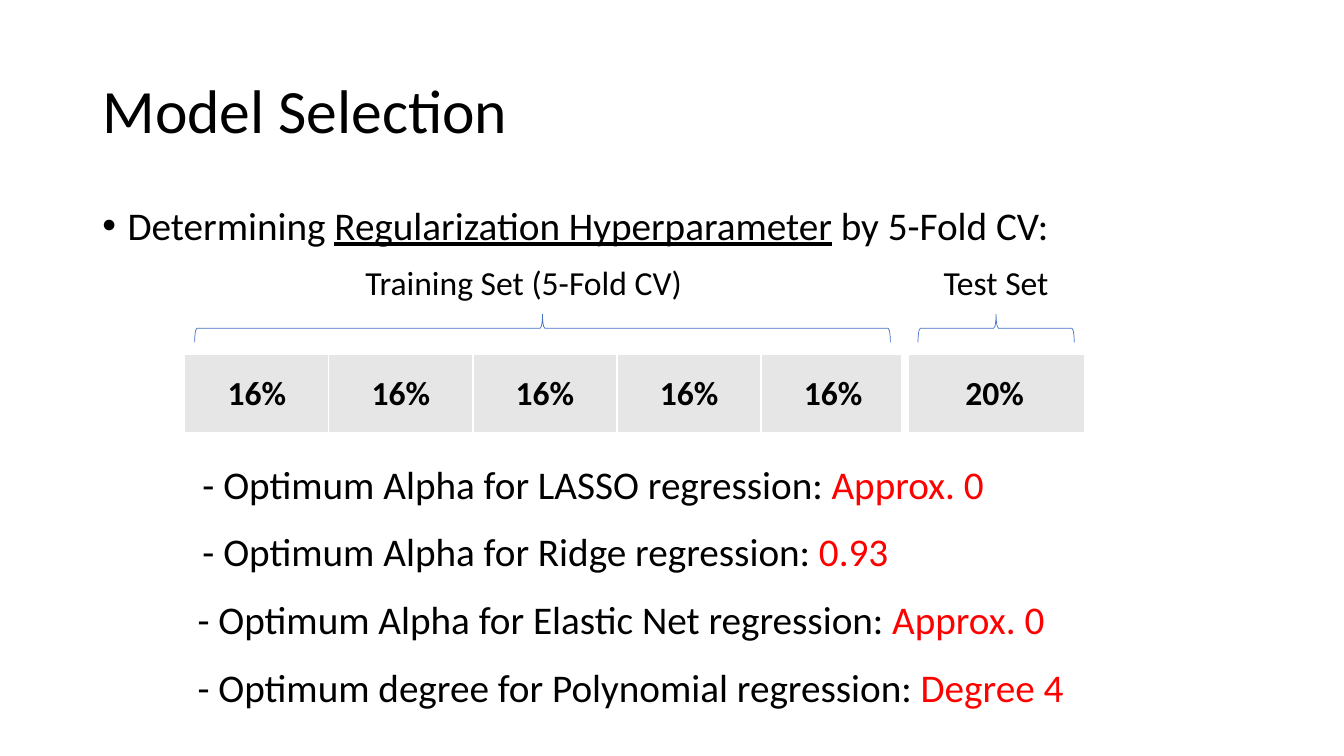
from lxml.etree import SubElement
from pptx import Presentation
from pptx.dml.color import RGBColor
from pptx.enum.shapes import MSO_SHAPE
from pptx.enum.text import MSO_ANCHOR, MSO_AUTO_SIZE, PP_ALIGN
from pptx.oxml.ns import qn
from pptx.util import Pt

COLORS = {"text": "000000", "answer": "FF0000", "cell": "E7E6E6",
          "border": "FFFFFF", "brace": "4472C4"}


def add_span(para, text, size, color="text", **format_values):
    span = para.add_run()
    span.text = text
    span.font.color.rgb = RGBColor.from_string(COLORS[color])
    for name, value in {"name": "Calibri", "size": Pt(size), **format_values}.items():
        setattr(span.font, name, value)


def place(box, left, top, width, height):
    """Set the bounds in points; return the first paragraph of the wrapped text."""
    box.left, box.top, box.width, box.height = map(Pt, (left, top, width, height))
    box.text_frame.word_wrap = True
    box.text_frame.auto_size = MSO_AUTO_SIZE.NONE
    return box.text_frame.paragraphs[0]


deck = Presentation()
deck.slide_width, deck.slide_height = Pt(960), Pt(540)
page = deck.slides.add_slide(deck.slide_layouts[1])
title, body = page.placeholders

# Title and introduction
para = place(title, 66, 28.75, 828, 104.4)
title.text_frame.vertical_anchor = MSO_ANCHOR.MIDDLE
para.alignment = PP_ALIGN.LEFT
para.line_spacing = 0.9
add_span(para, "Model Selection", 44)

para = place(body, 66, 143.75, 828, 86.4)
para.line_spacing = 0.9
para.space_before = Pt(10)
properties = para._p.get_or_add_pPr()
properties.set("marL", str(Pt(18)))
properties.set("indent", str(Pt(-18)))
SubElement(properties, qn("a:buFont"), typeface="Arial")
SubElement(properties, qn("a:buChar"), char="•")
add_span(para, "Determining ", 28)
add_span(para, "Regularization Hyperparameter", 28, underline=True)
add_span(para, " by 5-Fold CV:", 28)

# Optimum values
findings = [
    (137.5, 325.5, "- Optimum Alpha for LASSO regression: ", "Approx. 0"),
    (137.5, 373, "- Optimum Alpha for Ridge regression: ", "0.93"),
    (134, 421.5, "- Optimum Alpha for Elastic Net regression: ", "Approx. 0"),
    (134, 470, "- Optimum degree for Polynomial regression: ", "Degree 4"),
]
for left, top, finding, answer in findings:
    para = place(page.shapes.add_textbox(0, 0, 0, 0), left, top, 727, 41)
    add_span(para, finding, 28)
    add_span(para, answer, 28, "answer")

# Data split
shares = ["16%"] * 5 + ["20%"]
table = page.shapes.add_table(1, len(shares), Pt(132), Pt(253.5), Pt(642.5), Pt(56.5)).table
table.first_row = table.horz_banding = False
test_column = len(shares) - 1
for column, share in enumerate(shares):
    table.columns[column].width = Pt(128 if column == test_column else 102.9)
    cell = table.cell(0, column)
    cell.vertical_anchor = MSO_ANCHOR.MIDDLE
    para = cell.text_frame.paragraphs[0]
    para.alignment = PP_ALIGN.CENTER
    add_span(para, share, 24, bold=True)
    widths = {"a:lnL": 6 if column == test_column else 1,
              "a:lnR": 6 if column == test_column - 1 else 1,
              "a:lnT": 1, "a:lnB": 3}
    for side, width in widths.items():
        line = SubElement(cell._tc.get_or_add_tcPr(), qn(side), w=str(Pt(width)))
        SubElement(SubElement(line, qn("a:solidFill")), qn("a:srgbClr"), val=COLORS["border"])
    cell.fill.solid()
    cell.fill.fore_color.rgb = RGBColor.from_string(COLORS["cell"])

# Braces, turned to open downwards, and their labels
brace_depth, brace_middle = 20, 234.5
sets = [
    ("Test Set", 711.5, 111.6, 664, 95),
    ("Training Set (5-Fold CV)", 387.5, 497, 183.5, 381),
]
for label, center, length, label_left, label_width in sets:
    brace = page.shapes.add_shape(
        MSO_SHAPE.RIGHT_BRACE, Pt(center - brace_depth / 2), Pt(brace_middle - length / 2),
        Pt(brace_depth), Pt(length))
    brace.rotation = 270
    brace.shadow.inherit = False
    brace.fill.background()
    brace.line.color.rgb = RGBColor.from_string(COLORS["brace"])
    brace.line.width = Pt(0.5)
    para = place(page.shapes.add_textbox(0, 0, 0, 0), label_left, 183.5, label_width, 36)
    para.alignment = PP_ALIGN.CENTER
    add_span(para, label, 24)

deck.save("out.pptx")
